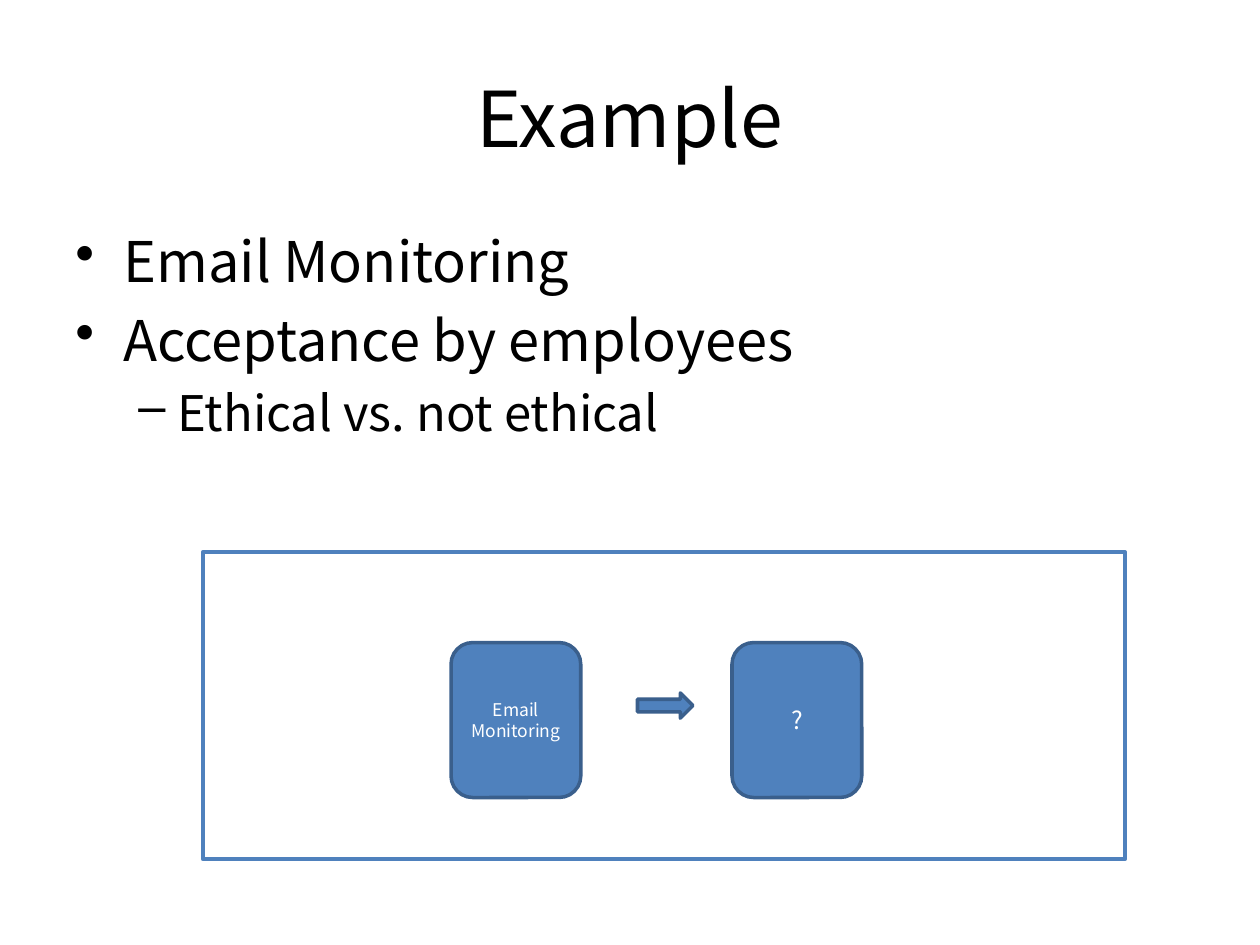
from lxml.etree import SubElement
from pptx import Presentation
from pptx.dml.color import RGBColor
from pptx.enum.shapes import MSO_SHAPE
from pptx.enum.text import MSO_ANCHOR, PP_ALIGN
from pptx.oxml.ns import qn
from pptx.util import Emu, Pt

FONT = "Noto Sans CJK KR"
BLACK, WHITE, BLUE, DARK_BLUE = "000000", "FFFFFF", "4F81BD", "3A5F8C"


def px(length):
    """100 px to the inch."""
    return Emu(length * 9144)


def color(hex_value):
    return RGBColor.from_string(hex_value)


def style_text(paragraph, size, text_color, align=PP_ALIGN.LEFT):
    paragraph.alignment = align
    for run in paragraph.runs:
        run.font.name = FONT
        run.font.size = Pt(size)
        run.font.color.rgb = color(text_color)


def set_bullet(paragraph, symbol, indent, hanging):
    properties = paragraph._p.get_or_add_pPr()
    properties.set("marL", str(px(indent)))
    properties.set("indent", str(-px(hanging)))
    SubElement(properties, qn("a:buChar")).set("char", symbol)


def add_frame(slide, box):
    frame = slide.shapes.add_textbox(*map(px, box)).text_frame
    frame.word_wrap = True
    return frame


def add_block(slide, preset, box, line, fill=None):
    block = slide.shapes.add_shape(preset, *map(px, box))
    block.shadow.inherit = False
    if fill:
        block.fill.solid()
        block.fill.fore_color.rgb = color(fill)
    else:
        block.fill.background()
    block.line.color.rgb = color(line)
    block.line.width = Pt(2)
    return block


def add_title(slide, box, title):
    frame = add_frame(slide, box)
    frame.vertical_anchor = MSO_ANCHOR.MIDDLE
    frame.text = title
    style_text(frame.paragraphs[0], 44, BLACK, PP_ALIGN.CENTER)


def add_bullets(slide, box, items):
    # Per level: symbol, size, indent, hanging
    levels = [("•", 32, 38, 38), ("–", 28, 81, 31)]
    frame = add_frame(slide, box)
    frame.text = "\n".join(wording for _, wording in items)
    for paragraph, (level, _) in zip(frame.paragraphs, items):
        symbol, size, indent, hanging = levels[level]
        paragraph.level = level
        style_text(paragraph, size, BLACK)
        paragraph.space_before = Pt(size * 0.2)
        set_bullet(paragraph, symbol, indent, hanging)


def add_diagram(slide, box):
    left, top, _, _ = box
    # Cause and effect
    for offset, label, size in [(197, "Email Monitoring", 10), (420, "?", 14)]:
        card = add_block(slide, MSO_SHAPE.ROUNDED_RECTANGLE,
                         (left + offset, top + 72, 103, 123), DARK_BLUE, BLUE)
        frame = card.text_frame
        frame.word_wrap = True
        frame.vertical_anchor = MSO_ANCHOR.MIDDLE
        frame.text = label
        style_text(frame.paragraphs[0], size, WHITE, PP_ALIGN.CENTER)
    add_block(slide, MSO_SHAPE.RIGHT_ARROW,
              (left + 345, top + 112, 44, 20), DARK_BLUE, BLUE)
    # Surrounding border
    add_block(slide, MSO_SHAPE.RECTANGLE, box, BLUE)


def main():
    deck = Presentation()
    deck.slide_width, deck.slide_height = px(1000), px(750)
    slide = deck.slides.add_slide(deck.slide_layouts[6])
    add_title(slide, (50, 30, 900, 125), "Example")
    add_bullets(slide, (50, 175, 900, 495), [
        (0, "Email Monitoring"),
        (0, "Acceptance by employees"),
        (1, "Ethical vs. not ethical"),
    ])
    add_diagram(slide, (161, 438, 732, 244))
    deck.save("out.pptx")


if __name__ == "__main__":
    main()
